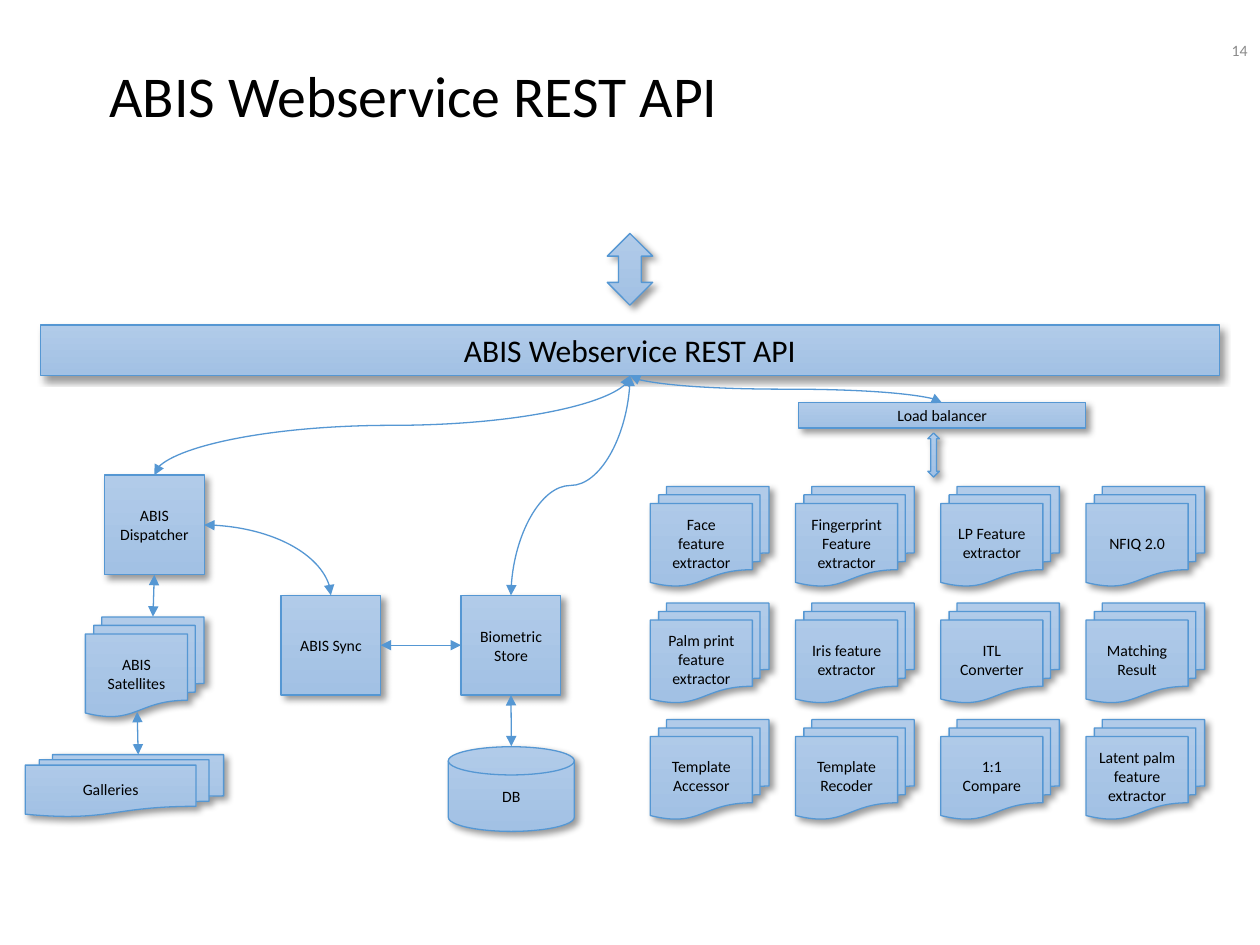
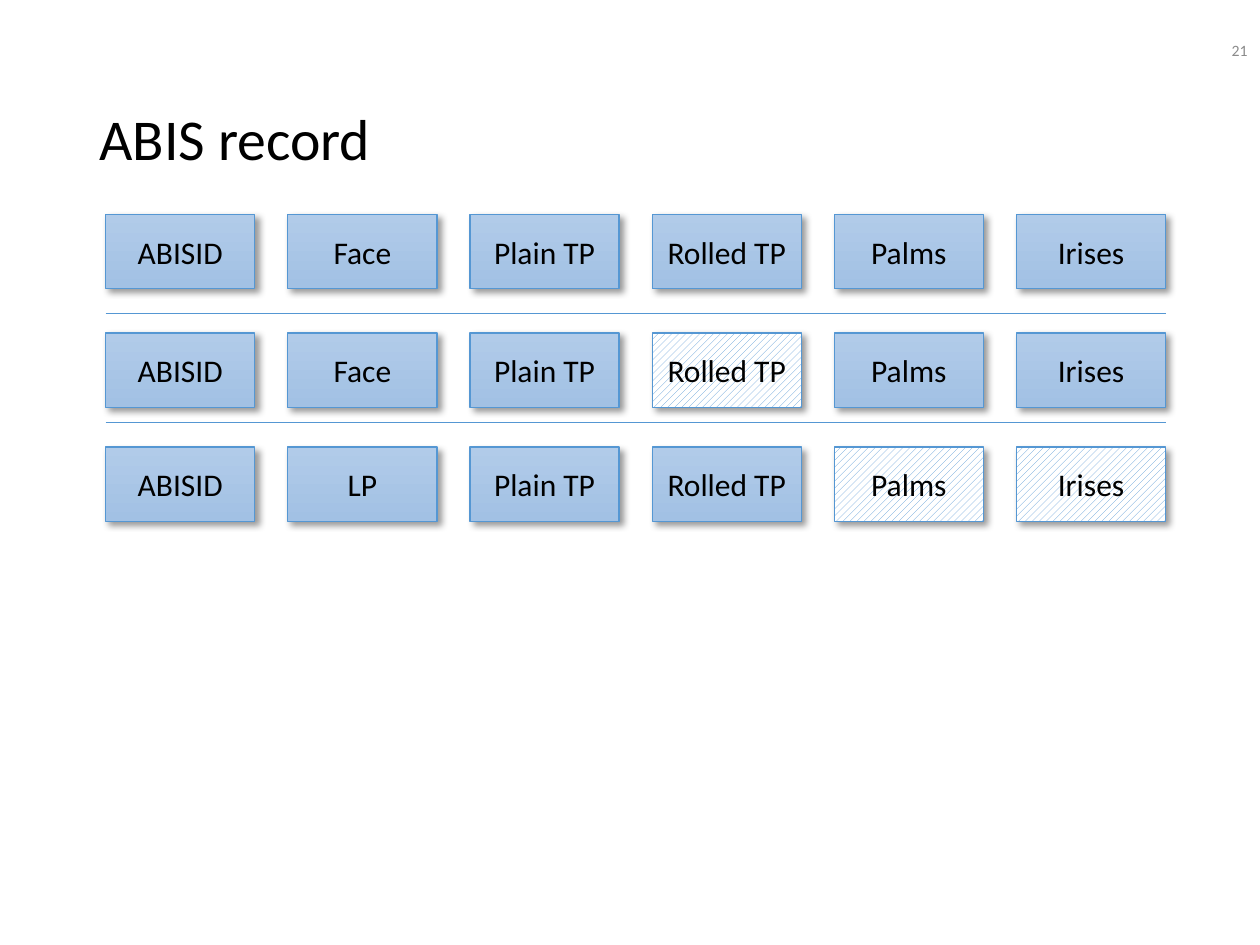
from dataclasses import dataclass

from lxml.etree import SubElement
from pptx import Presentation
from pptx.dml.color import RGBColor
from pptx.enum.dml import MSO_PATTERN
from pptx.enum.shapes import MSO_CONNECTOR, MSO_SHAPE
from pptx.enum.text import MSO_ANCHOR, PP_ALIGN
from pptx.oxml.ns import qn
from pptx.shapes.autoshape import Shape
from pptx.shapes.connector import Connector
from pptx.slide import Slide
from pptx.util import Pt

BLACK = RGBColor(0x00, 0x00, 0x00)
WHITE = RGBColor(0xFF, 0xFF, 0xFF)
GREY = RGBColor(0x8B, 0x8B, 0x8B)
LIGHT_BLUE = RGBColor(0xB1, 0xCB, 0xE9)
MID_BLUE = RGBColor(0xA2, 0xC1, 0xE4)
LINE_BLUE = RGBColor(0x55, 0x97, 0xD3)
HATCH_BLUE = RGBColor(0x5B, 0x9B, 0xD5)

FONT = "Calibri"
TITLE_SIZE, LARGE_SIZE, SMALL_SIZE = 33, 18, 9
LINE_WIDTH = 0.75

BOX = MSO_SHAPE.RECTANGLE
STACK = MSO_SHAPE.FLOWCHART_MULTIDOCUMENT
DISK = MSO_SHAPE.FLOWCHART_MAGNETIC_DISK
ARROW = MSO_SHAPE.UP_DOWN_ARROW
TOP, LEFT, BOTTOM, RIGHT = range(4)

BOX_SIDE = 57
STACK_WIDTH = 67.8
HUB = (360, 214.6)

EXTRACTOR_ORIGIN = (371.6, 278)
EXTRACTOR_PITCH = (83, 66.6)
EXTRACTORS = (
    ("Face feature extractor", "Fingerprint Feature extractor", "LP Feature extractor", "NFIQ 2.0"),
    ("Palm print feature extractor", "Iris feature extractor", "ITL Converter", "Matching Result"),
    ("Template Accessor", "Template Recoder", "1:1 Compare", "Latent palm feature extractor"),
)

FIELD_LEFT, FIELD_PITCH = 60.4, 104.1
FIELD_WIDTH, FIELD_HEIGHT = 85.2, 42.5
RECORD_RIGHT = 666.2
DIVIDER_TOPS = (179.2, 241.5)

Point = tuple[float, float]


@dataclass(frozen=True)
class Node:
    label: str
    left: float
    top: float
    width: float = BOX_SIDE
    height: float = BOX_SIDE
    kind: MSO_SHAPE = BOX
    size: float = SMALL_SIZE
    hatched: bool = False


@dataclass(frozen=True)
class Record:
    top: float
    fields: tuple[str, ...]
    missing: tuple[str, ...] = ()


API_BAR = Node("ABIS Webservice REST API", 23, 185.8, 674, 28.8, size=LARGE_SIZE)
DISPATCHER = Node("ABIS Dispatcher", 59.7, 271.5)
SATELLITES = Node("ABIS Satellites", 48.8, 352.6, STACK_WIDTH, kind=STACK)
DATABASE = Node("DB", 256.2, 426.7, 72, 48.4, DISK)
STORE = Node("Biometric Store", 263.5, 340.2)
SYNC = Node("ABIS Sync", 160.6, 340.2)
BALANCER = Node("Load balancer", 456.2, 230.2, 164.2, 14.4)
GALLERIES = Node("Galleries", 14.4, 431.2, 113.4, 35.4, STACK)
CLIENT_ARROW = Node("", 347, 133.4, 26, 41, ARROW)
BALANCER_ARROW = Node("", 530.2, 247.4, 6.6, 25.2, ARROW)

RECORDS = (
    Record(122.4, ("ABISID", "Face", "Plain TP", "Rolled TP", "Palms", "Irises")),
    Record(190.3, ("ABISID", "Face", "Plain TP", "Rolled TP", "Palms", "Irises"), ("Rolled TP",)),
    Record(255.5, ("ABISID", "LP", "Plain TP", "Rolled TP", "Palms", "Irises"), ("Palms", "Irises")),
)


def write(shape: Shape, text: str, size: float, color: RGBColor, align: PP_ALIGN,
          spacing: float = 1.0) -> None:
    frame = shape.text_frame
    frame.word_wrap = True
    frame.vertical_anchor = MSO_ANCHOR.MIDDLE
    paragraph = frame.paragraphs[0]
    paragraph.text = text
    paragraph.alignment = align
    paragraph.line_spacing = spacing
    paragraph.font.name = FONT
    paragraph.font.size = Pt(size)
    paragraph.font.color.rgb = color


def add_label(slide: Slide, left: float, top: float, width: float, height: float,
              text: str, size: float, color: RGBColor, align: PP_ALIGN,
              spacing: float = 1.0) -> None:
    label = slide.shapes.add_textbox(Pt(left), Pt(top), Pt(width), Pt(height))
    write(label, text, size, color, align, spacing)


def add_title(slide: Slide, text: str, left: float, top: float, height: float) -> None:
    add_label(slide, left, top, 620.6, height, text, TITLE_SIZE, BLACK, PP_ALIGN.LEFT, 0.9)


def add_page_number(slide: Slide, number: int) -> None:
    add_label(slide, 558, 14.4, 162, 28.8, str(number), SMALL_SIZE, GREY, PP_ALIGN.RIGHT)


def cast_shadow(shape: Shape) -> None:
    shape.shadow.inherit = False
    effects = shape.element.spPr.find(qn("a:effectLst"))
    shadow = SubElement(effects, qn("a:outerShdw"), blurRad=str(Pt(4)), dist=str(Pt(3)),
                        dir="2700000", algn="tl", rotWithShape="0")
    tint = SubElement(shadow, qn("a:srgbClr"), val=str(BLACK))
    SubElement(tint, qn("a:alpha"), val="40000")


def add_node(slide: Slide, node: Node) -> Shape:
    shape = slide.shapes.add_shape(
        node.kind, Pt(node.left), Pt(node.top), Pt(node.width), Pt(node.height))
    if node.hatched:
        shape.fill.patterned()
        shape.fill.pattern = MSO_PATTERN.WIDE_UPWARD_DIAGONAL
        shape.fill.fore_color.rgb = HATCH_BLUE
        shape.fill.back_color.rgb = WHITE
    else:
        shape.fill.gradient()
        shape.fill.gradient_angle = 270
        for stop, color in zip(shape.fill.gradient_stops, (LIGHT_BLUE, MID_BLUE)):
            stop.color.rgb = color
    shape.line.color.rgb = LINE_BLUE
    shape.line.width = Pt(LINE_WIDTH)
    cast_shadow(shape)
    if node.label:
        write(shape, node.label, node.size, BLACK, PP_ALIGN.CENTER)
    return shape


def add_link(slide: Slide, start: Point, end: Point,
             kind: MSO_CONNECTOR = MSO_CONNECTOR.STRAIGHT, arrows: bool = True) -> Connector:
    link = slide.shapes.add_connector(kind, *(Pt(value) for value in start + end))
    link.line.color.rgb = LINE_BLUE
    link.line.width = Pt(LINE_WIDTH)
    if arrows:
        for tag in ("a:headEnd", "a:tailEnd"):
            SubElement(link.line._get_or_add_ln(), qn(tag), type="triangle")
    SubElement(link.element.spPr, qn("a:effectLst"))
    return link


def add_drop_curve(slide: Slide, start: Point, end: Point) -> None:
    link = add_link(slide, start, end, MSO_CONNECTOR.CURVE)
    run, drop = abs(end[0] - start[0]), abs(end[1] - start[1])
    link.left = Pt((start[0] + end[0] - drop) / 2)
    link.top = Pt((start[1] + end[1] - run) / 2)
    link.width, link.height = Pt(drop), Pt(run)
    frame = link.element.spPr.find(qn("a:xfrm"))
    goes_left = end[0] < start[0]
    frame.set("rot", "5400000" if goes_left else "16200000")
    frame.set("flipH", "0" if goes_left else "1")


def add_corner_curve(slide: Slide, start: Point, end: Point) -> None:
    link = add_link(slide, start, end, MSO_CONNECTOR.CURVE)
    link.element.spPr.find(qn("a:prstGeom")).set("prst", "curvedConnector2")


def top_middle(node: Node) -> Point:
    return node.left + node.width / 2, node.top


def build_architecture(slide: Slide) -> None:
    add_page_number(slide, 14)
    for node in (API_BAR, SATELLITES, DATABASE, BALANCER, GALLERIES, CLIENT_ARROW):
        add_node(slide, node)
    dispatcher, store, sync = (add_node(slide, node) for node in (DISPATCHER, STORE, SYNC))

    for row, labels in enumerate(EXTRACTORS):
        for column, label in enumerate(labels):
            add_node(slide, Node(label,
                                 EXTRACTOR_ORIGIN[0] + column * EXTRACTOR_PITCH[0],
                                 EXTRACTOR_ORIGIN[1] + row * EXTRACTOR_PITCH[1],
                                 STACK_WIDTH, kind=STACK))

    add_link(slide, (88.2, 328.5), (87.4, 352.4)).begin_connect(dispatcher, BOTTOM)
    add_link(slide, (292, 397.2), (292.2, 426.5)).begin_connect(store, BOTTOM)
    sync_to_store = add_link(slide, (217.6, 368.7), (263.5, 368.7))
    sync_to_store.begin_connect(sync, RIGHT)
    sync_to_store.end_connect(store, LEFT)
    add_link(slide, (78.4, 406.8), (79, 431.2))

    add_corner_curve(slide, (DISPATCHER.left + BOX_SIDE, DISPATCHER.top + BOX_SIDE / 2),
                     top_middle(SYNC))
    for target in (STORE, BALANCER, DISPATCHER):
        add_drop_curve(slide, HUB, top_middle(target))
    add_node(slide, BALANCER_ARROW)
    add_title(slide, "ABIS Webservice REST API", 55.4, 23, 67)


def build_record(slide: Slide) -> None:
    add_title(slide, "ABIS record", 49.7, 28.8, 104.4)
    add_page_number(slide, 21)
    for record in RECORDS:
        for column, field in enumerate(record.fields):
            add_node(slide, Node(field, FIELD_LEFT + column * FIELD_PITCH, record.top,
                                 FIELD_WIDTH, FIELD_HEIGHT, size=LARGE_SIZE,
                                 hatched=field in record.missing))
    for top in DIVIDER_TOPS:
        add_link(slide, (FIELD_LEFT, top), (RECORD_RIGHT, top), arrows=False)


def main() -> None:
    deck = Presentation()
    deck.slide_width, deck.slide_height = Pt(720), Pt(540)
    blank = deck.slide_layouts[6]
    for build in (build_architecture, build_record):
        build(deck.slides.add_slide(blank))
    deck.save("out.pptx")


if __name__ == "__main__":
    main()
